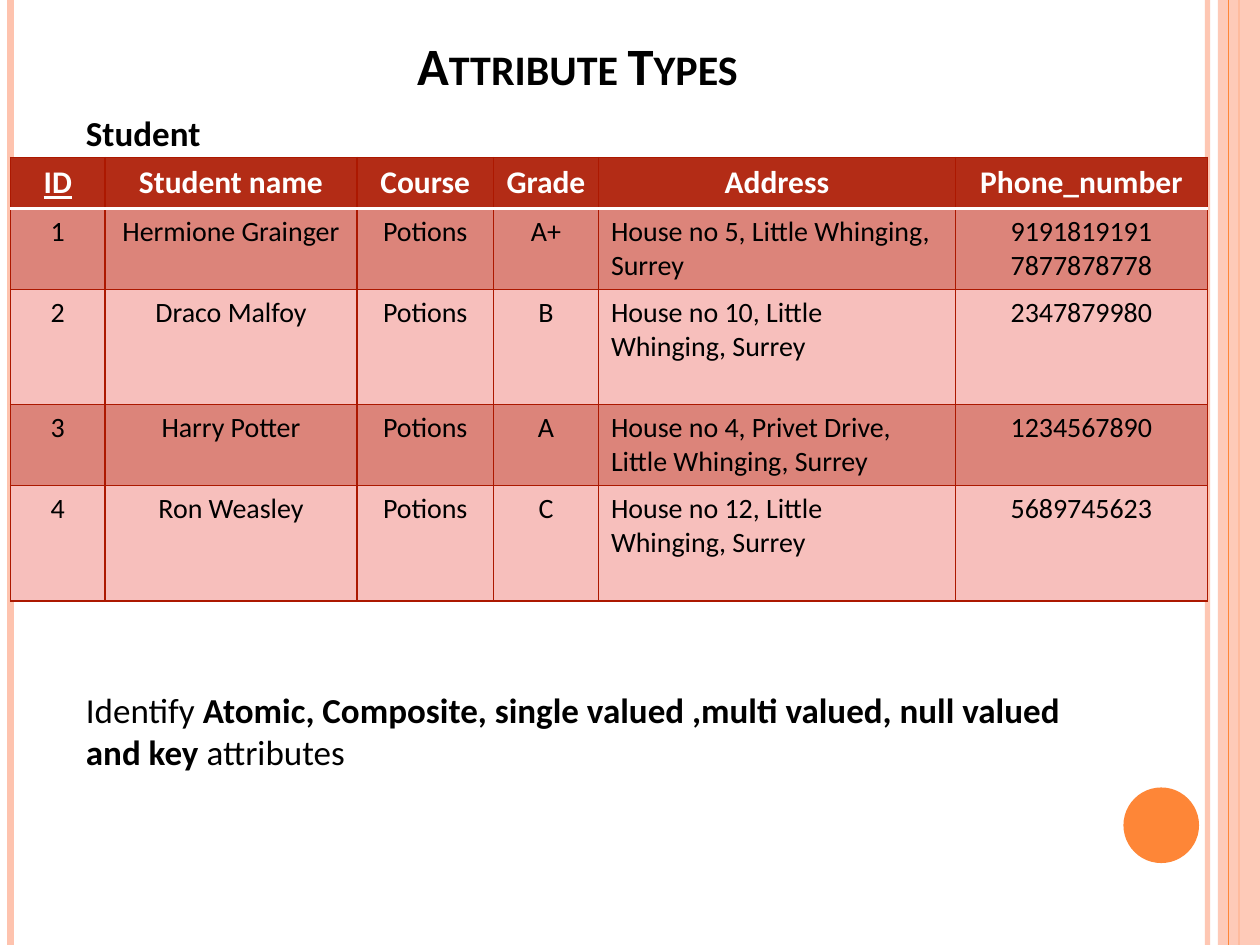
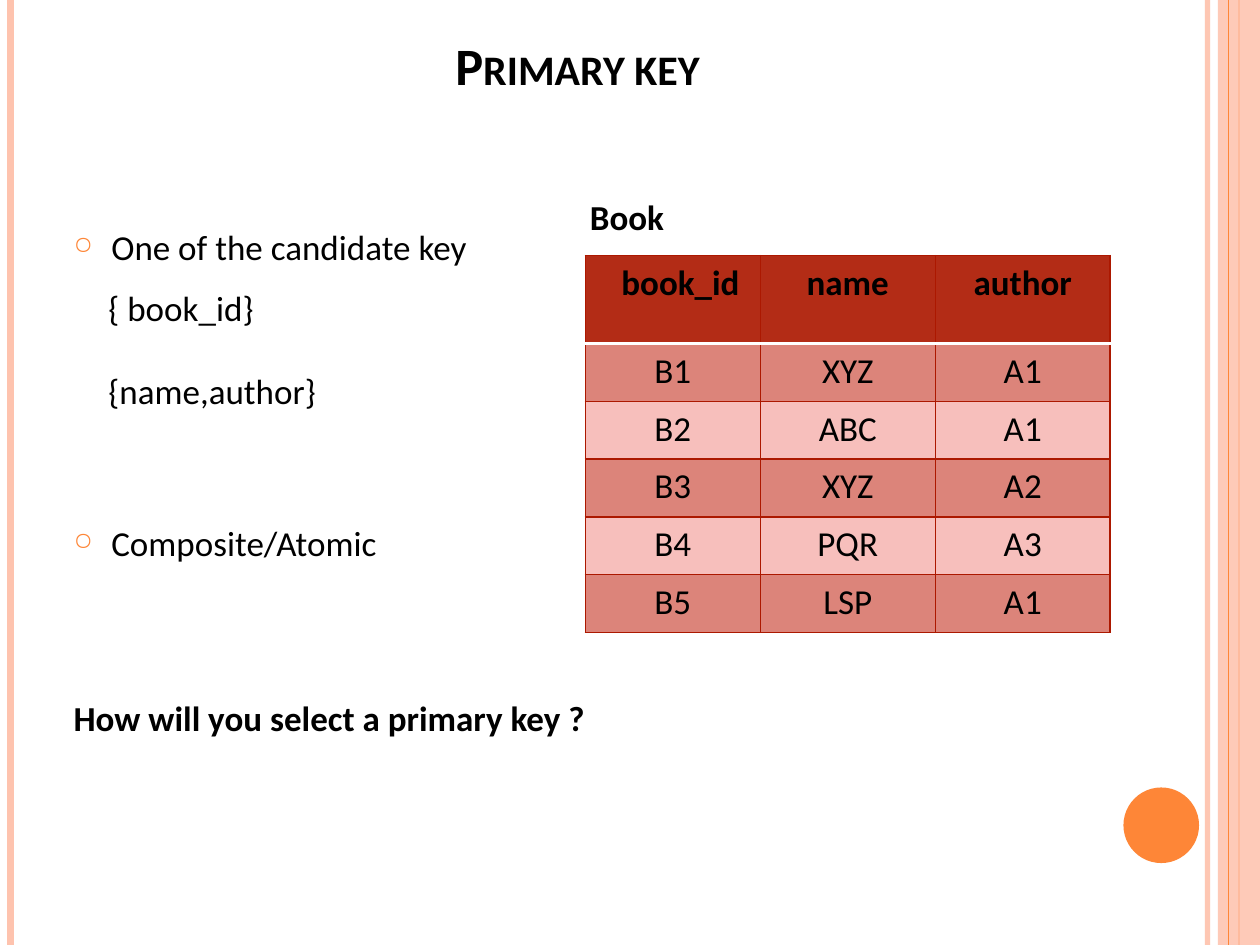
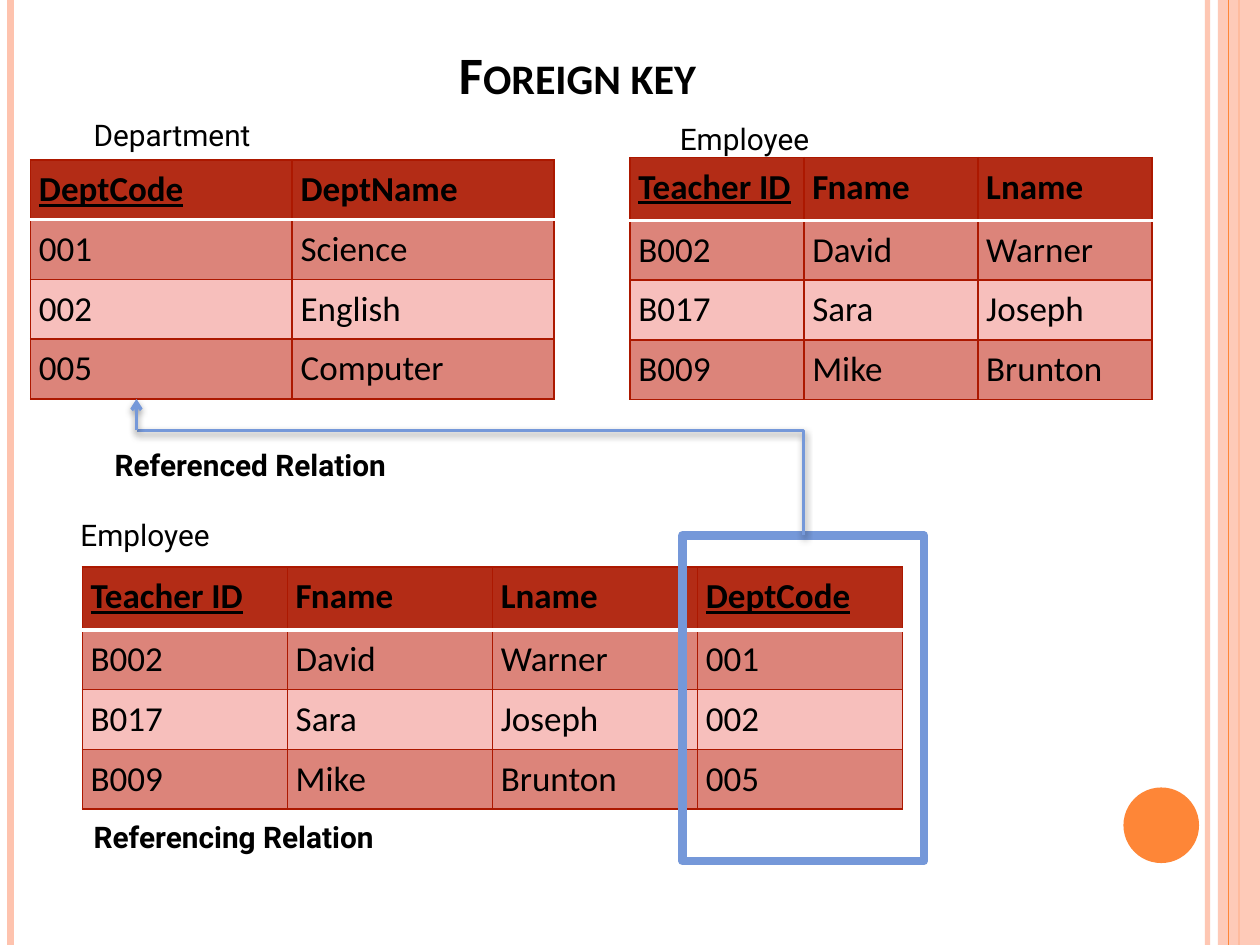
from dataclasses import dataclass

from lxml.etree import SubElement
from pptx import Presentation
from pptx.dml.color import RGBColor
from pptx.enum.shapes import MSO_CONNECTOR as Connector, MSO_SHAPE as Shape
from pptx.enum.text import MSO_ANCHOR as Anchor, PP_ALIGN as Align
from pptx.oxml import parse_xml
from pptx.oxml.ns import nsdecls, qn
from pptx.util import Pt


@dataclass(frozen=True)
class Theme:
    black: str = "000000"
    white: str = "FFFFFF"
    peach: str = "FEC3AE"
    orange: str = "FE8637"
    blue: str = "7598D9"
    header: str = "B32C16"
    bands: tuple = ("DC847A", "F7BFBC")
    border: str = "AC1800"
    face: str = "Calibri"
    label_face: str = "Roboto"
    title_size: int = 30
    body_size: int = 20
    label_size: int = 17


THEME = Theme()
WIDTH, HEIGHT = 720, 540
WIDE_INSET, BODY_INSET, CELL_INSET = (7.2, 3.6), (6, 3), (4.8, 4.8)

# Content: titles with the top and height of their boxes
TITLES = [
    ("Attribute Types", -12, 70),
    ("Primary key", 6, 52),
    ("Foreign key", 0, 63),
]

STUDENTS = [
    ("ID", "Student name", "Course", "Grade", "Address", "Phone_number"),
    ("1", "Hermione Grainger", "Potions", "A+",
     "House no 5, Little Whinging, Surrey", "9191819191\n7877878778"),
    ("2", "Draco Malfoy", "Potions", "B",
     "House no 10, Little Whinging, Surrey", "2347879980"),
    ("3", "Harry Potter", "Potions", "A",
     "House no 4, Privet Drive, Little Whinging, Surrey", "1234567890"),
    ("4", "Ron Weasley", "Potions", "C",
     "House no 12, Little Whinging, Surrey", "5689745623"),
]
BOOKS = [
    ("book_id", "name", "author"),
    ("B1", "XYZ", "A1"),
    ("B2", "ABC", "A1"),
    ("B3", "XYZ", "A2"),
    ("B4", "PQR", "A3"),
    ("B5", "LSP", "A1"),
]
DEPARTMENTS = [
    ("DeptCode", "DeptName"),
    ("001", "Science"),
    ("002", "English"),
    ("005", "Computer"),
]
TEACHERS = [
    ("Teacher ID", "Fname", "Lname"),
    ("B002", "David", "Warner"),
    ("B017", "Sara", "Joseph"),
    ("B009", "Mike", "Brunton"),
]
TEACHERS_WITH_DEPT = [
    teacher + department[:1] for teacher, department in zip(TEACHERS, DEPARTMENTS)
]
KEYS = {"ID", "DeptCode", "Teacher ID"}

# Paragraphs: (spans of text and bold, space before, has bullet)
STUDENT_TEXT = [
    ([("Student", True)], 0, False),
    ([("Identify ", False),
      ("Atomic, Composite, single valued ,multi valued, null valued and key ", True),
      ("attributes", False)], 306, False),
]
KEY_TEXT = [
    ([("One of the candidate key", False)], 0, True),
    ([("Composite/Atomic", False)], 145, True),
    ([("How will you select a primary key ?", True)], 76, False),
]
CANDIDATES = [
    ([("{ book_id}", False)], 0, False),
    ([("{name,author}", False)], 23.6, False),
]
BOOK_LABEL = [([("Book", True)], 0, False)]

# Relation labels: text, left, top, width, bold
LABELS = [
    ("Department", 47, 63.5, 127, False),
    ("Employee", 382, 66, 116, False),
    ("Referenced Relation", 59, 252, 193, True),
    ("Referencing Relation", 47, 465, 193, True),
    ("Employee", 39.5, 292, 116, False),
]


def points(*values):
    return [Pt(value) for value in values]


def rgb(color):
    return RGBColor.from_string(color)


def format_font(font, size, bold=False, face=THEME.face, color=THEME.black):
    font.size, font.bold, font.name = Pt(size), bold, face
    font.color.rgb = rgb(color)


# Shapes and lines
def set_alpha(shape, percent):
    for color in shape.element.iter(qn("a:srgbClr")):
        SubElement(color, qn("a:alpha"), val=str(percent * 1000))


def add_filled(page, kind, at, color):
    shape = page.shapes.add_shape(kind, *points(*at))
    shape.shadow.inherit = False
    shape.fill.solid()
    shape.fill.fore_color.rgb = rgb(color)
    shape.line.fill.background()
    return shape


def add_line(page, start, end, color, width, kind=Connector.STRAIGHT, shadow=False):
    line = page.shapes.add_connector(kind, *points(*start, *end))
    line.line.color.rgb = rgb(color)
    line.line.width = Pt(width)
    effects = SubElement(line.element.spPr, qn("a:effectLst"))
    if shadow:
        outer = SubElement(effects, qn("a:outerShdw"), blurRad=str(Pt(4)),
                           dist=str(Pt(2)), dir="5400000", rotWithShape="0")
        black = SubElement(outer, qn("a:srgbClr"), val=THEME.black)
        SubElement(black, qn("a:alpha"), val="40000")
    return line


def add_corner_line(page, start, end):
    """Draw a line that leaves start upwards and then turns towards end."""
    middle_x, middle_y = (start[0] + end[0]) / 2, (start[1] + end[1]) / 2
    half_run, half_rise = abs(start[0] - end[0]) / 2, abs(start[1] - end[1]) / 2
    line = add_line(page, (middle_x - half_rise, middle_y + half_run),
                    (middle_x + half_rise, middle_y - half_run),
                    THEME.blue, 2, Connector.ELBOW, shadow=True)
    line.element.spPr.find(qn("a:xfrm")).set("rot", "16200000")
    line.element.spPr.find(qn("a:prstGeom")).set("prst", "bentConnector2")


def add_master_bands(deck, page):
    def rule(x, color, width):
        return add_line(page, (x, 0), (x, HEIGHT), color, width)

    inner = rule(690, THEME.peach, 3)
    outer = rule(6, THEME.peach, 4.5)
    accent = rule(708, THEME.orange, 1.5)
    band = add_filled(page, Shape.RECTANGLE, (696, 0, 24, HEIGHT), THEME.peach)
    hairline = rule(702, THEME.orange, 0.75)
    disc = add_filled(page, Shape.OVAL, (642, 450, 43.2, 43.2), THEME.orange)
    set_alpha(inner, 93)
    set_alpha(band, 87)
    for shape in (inner, outer, accent, band, hairline, disc):
        deck.slide_master.shapes.element.append(shape.element)


# Text
def set_insets(target, insets):
    target.margin_left = target.margin_right = Pt(insets[0])
    target.margin_top = target.margin_bottom = Pt(insets[1])


def add_bullet(para_element):
    props = para_element.get_or_add_pPr()
    props.set("marL", str(Pt(21.6)))
    props.set("indent", str(Pt(-21.6)))
    color = SubElement(props, qn("a:buClr"))
    SubElement(color, qn("a:srgbClr"), val=THEME.orange)
    SubElement(props, qn("a:buSzPct"), val="70000")
    SubElement(props, qn("a:buChar"), char="○")


def add_text(page, at, paragraphs, insets=WIDE_INSET,
             size=THEME.body_size, face=THEME.face):
    box = page.shapes.add_textbox(*points(*at))
    frame = box.text_frame
    frame.word_wrap = True
    set_insets(frame, insets)
    frame.text = "\n".join("" for _ in paragraphs)
    elements = box.element.iter(qn("a:p"))
    for para, element, (spans, gap, bullet) in zip(frame.paragraphs, elements, paragraphs):
        if bullet:
            add_bullet(element)
        para.space_before = Pt(gap)
        for text, bold in spans:
            span = para.add_run()
            span.text = text
            format_font(span.font, size, bold, face)


def set_title(page, text, top, height):
    title = page.shapes.title
    title.left, title.top, title.width, title.height = points(36, top, 588, height)
    frame = title.text_frame
    frame.text = text
    frame.vertical_anchor = Anchor.BOTTOM
    set_insets(frame, BODY_INSET)
    para = frame.paragraphs[0]
    para.alignment = Align.CENTER
    format_font(para.runs[0].font, THEME.title_size, True)
    for props in title.element.iter(qn("a:rPr")):
        props.set("cap", "small")


# Tables
def add_borders(cell_props, row):
    white_edge = {0: "lnB", 1: "lnT"}.get(row)
    for place, edge in enumerate(("lnL", "lnR", "lnT", "lnB")):
        color, width = (THEME.white, 2) if edge == white_edge else (THEME.border, 1)
        cell_props.insert(place, parse_xml(
            f'<a:{edge} {nsdecls("a")} w="{Pt(width)}"><a:solidFill>'
            f'<a:srgbClr val="{color}"/></a:solidFill></a:{edge}>'))


def add_grid(page, left, top, rows, widths, heights, insets=CELL_INSET,
             align=Align.LEFT, left_column=None, sizes=(THEME.body_size,) * 2,
             header_color=THEME.black):
    frame = page.shapes.add_table(len(rows), len(widths), *points(
        left, top, sum(widths), sum(heights)))
    table = frame.table
    for column, width in zip(table.columns, widths):
        column.width = Pt(width)
    for line, height in zip(table.rows, heights):
        line.height = Pt(height)
    for row, values in enumerate(rows):
        is_header = row == 0
        for col, value in enumerate(values):
            cell = table.cell(row, col)
            cell.text = value
            set_insets(cell, insets)
            cell.fill.solid()
            cell.fill.fore_color.rgb = rgb(
                THEME.header if is_header else THEME.bands[(row - 1) % 2])
            for para in cell.text_frame.paragraphs:
                para.alignment = (Align.LEFT if col == left_column and not is_header
                                  else align)
                font = para.runs[0].font
                format_font(font, sizes[0 if is_header else 1], is_header,
                            color=header_color if is_header else THEME.black)
                font.underline = value in KEYS
    for index, props in enumerate(frame.element.iter(qn("a:tcPr"))):
        add_borders(props, index // len(widths))
    return table


# Slides
def build_attributes(page):
    add_text(page, (42, 60, 588, 408), STUDENT_TEXT)
    add_grid(page, 6, 90, STUDENTS, (54, 144, 78, 60, 204, 144),
             (29, 46.3, 66, 46.3, 66), WIDE_INSET, Align.CENTER, left_column=4,
             sizes=(18, 16), header_color=THEME.white)


def build_primary_key(page):
    add_text(page, (36, 126, 588, 384), KEY_TEXT, BODY_INSET)
    add_text(page, (55.5, 160.5, 366, 103), CANDIDATES, (6.5, 3))
    books = add_grid(page, 334.5, 146, BOOKS, (100,) * 3, (50.4,) + (33,) * 5,
                     WIDE_INSET, Align.CENTER)
    books.cell(0, 0).margin_left = Pt(16)
    add_text(page, (330, 108, 84, 32), BOOK_LABEL)


def build_foreign_key(page):
    teacher_heights = (36, 34, 34, 34)
    add_grid(page, 17.5, 91.5, DEPARTMENTS, (149.5,) * 2, (34,) * 4)
    add_grid(page, 360, 90, TEACHERS, (99.4,) * 3, teacher_heights)
    add_grid(page, 47, 324, TEACHERS_WITH_DEPT, (117.2,) * 4, teacher_heights)

    # Foreign key column and its arrow to the referenced key
    frame = page.shapes.add_shape(Shape.RECTANGLE, *points(390, 306, 138, 186))
    frame.shadow.inherit = False
    frame.fill.background()
    frame.line.color.rgb = rgb(THEME.blue)
    frame.line.width = Pt(5)
    add_corner_line(page, (459, 306), (78, 246))
    arrow = add_line(page, (78, 246), (78, 228), THEME.blue, 2, shadow=True)
    SubElement(arrow.element.spPr.find(qn("a:ln")), qn("a:tailEnd"), type="arrow")

    for text, left, top, width, bold in LABELS:
        add_text(page, (left, top, width, 27), [([(text, bold)], 0, False)],
                 (6.5, 3), THEME.label_size, THEME.label_face)


def main():
    deck = Presentation()
    deck.slide_width, deck.slide_height = points(WIDTH, HEIGHT)
    title_only = deck.slide_layouts[5]
    builders = (build_attributes, build_primary_key, build_foreign_key)
    for number, (title, build) in enumerate(zip(TITLES, builders)):
        page = deck.slides.add_slide(title_only)
        if number == 0:
            add_master_bands(deck, page)
        set_title(page, *title)
        build(page)
    deck.save("out.pptx")


if __name__ == "__main__":
    main()
